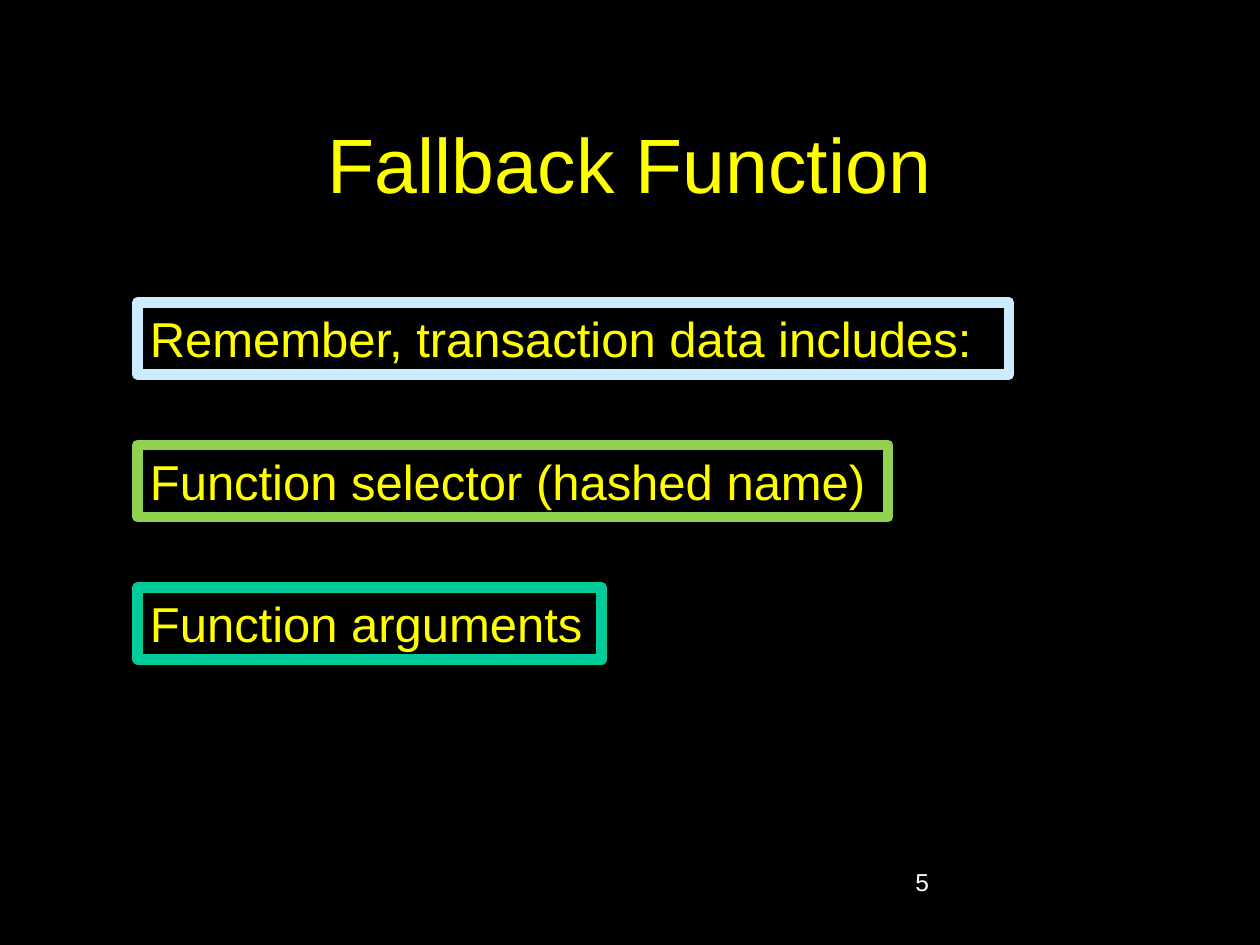
from pptx import Presentation
from pptx.dml.color import RGBColor
from pptx.enum.shapes import MSO_SHAPE
from pptx.enum.text import MSO_ANCHOR, PP_ALIGN
from pptx.util import Pt

RECTANGLE = MSO_SHAPE.RECTANGLE
TOP, MIDDLE = MSO_ANCHOR.TOP, MSO_ANCHOR.MIDDLE
LEFT, CENTER = PP_ALIGN.LEFT, PP_ALIGN.CENTER

TITLE_ONLY = 5
FONT = "Arial"
COLORS = {
    "background": "000000",
    "text": "FFFF00",
    "number": "FFFFFF",
    "intro": "CCECFF",
    "selector": "92D050",
    "arguments": "00CC99",
}


def color(name):
    return RGBColor.from_string(COLORS[name])


class SlideBuilder:
    """Holds the deck style and the current slide; lengths are in points."""

    def __init__(self, presentation):
        self.slide = presentation.slides.add_slide(
            presentation.slide_layouts[TITLE_ONLY])
        background = self.slide.background.fill
        background.solid()
        background.fore_color.rgb = color("background")

    def set_text(self, shape, text, size, color_name, align=LEFT, anchor=TOP):
        frame = shape.text_frame
        frame.word_wrap = True
        frame.vertical_anchor = anchor
        paragraph = frame.paragraphs[0]
        paragraph.text = text
        paragraph.alignment = align
        font = paragraph.font
        font.name, font.size = FONT, Pt(size)
        font.color.rgb = color(color_name)

    def title(self, text, left, top, width, height):
        heading = self.slide.shapes.title
        heading.left, heading.top = Pt(left), Pt(top)
        heading.width, heading.height = Pt(width), Pt(height)
        self.set_text(heading, text, 44, "text", CENTER, MIDDLE)

    def label(self, text, left, top, width, height):
        box = self.slide.shapes.add_textbox(
            Pt(left), Pt(top), Pt(width), Pt(height))
        self.set_text(box, text, 14, "number")

    def framed_box(self, text, left, top, width, height, border):
        box = self.slide.shapes.add_shape(
            RECTANGLE, Pt(left), Pt(top), Pt(width), Pt(height))
        box.shadow.inherit = False
        box.fill.solid()
        box.fill.fore_color.rgb = color("background")
        box.line.color.rgb = color(border)
        box.line.width = Pt(6)
        self.set_text(box, text, 28, "text")


def main():
    presentation = Presentation()
    presentation.slide_width, presentation.slide_height = Pt(720), Pt(540)
    builder = SlideBuilder(presentation)

    # Title and slide number
    builder.title("Fallback Function", 54, 48, 612, 90)
    builder.label("5", 516, 492, 150, 36)

    # Parts of the transaction data, evenly stacked
    transaction_parts = [
        ("Remember, transaction data includes:", 498, "intro"),
        ("Function selector (hashed name)", 429, "selector"),
        ("Function arguments", 265, "arguments"),
    ]
    first_top, step = 172.8, 81.4
    for row, (text, width, border) in enumerate(transaction_parts):
        builder.framed_box(text, 78.6, first_top + row * step, width, 41.2, border)

    presentation.save("out.pptx")


if __name__ == "__main__":
    main()
